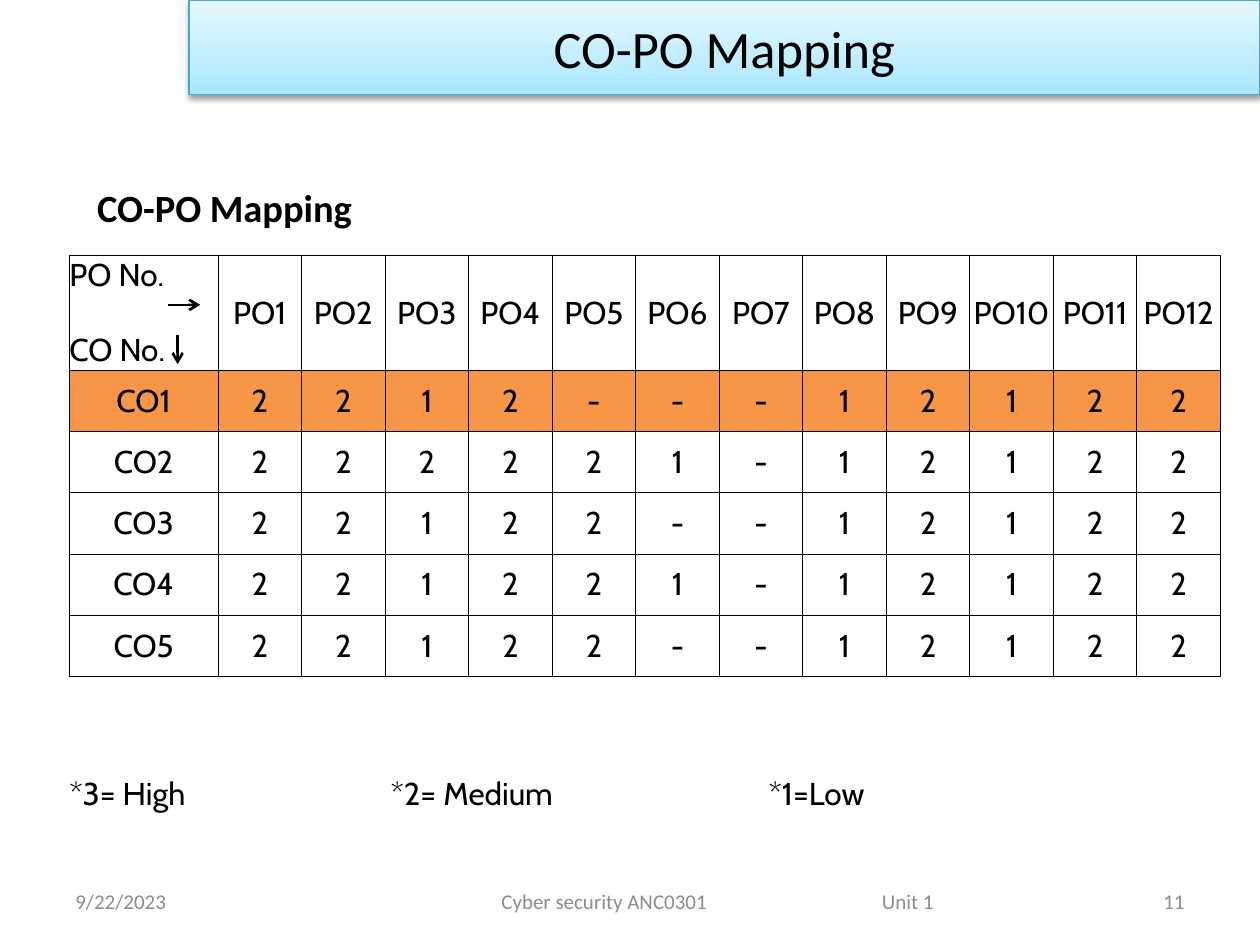
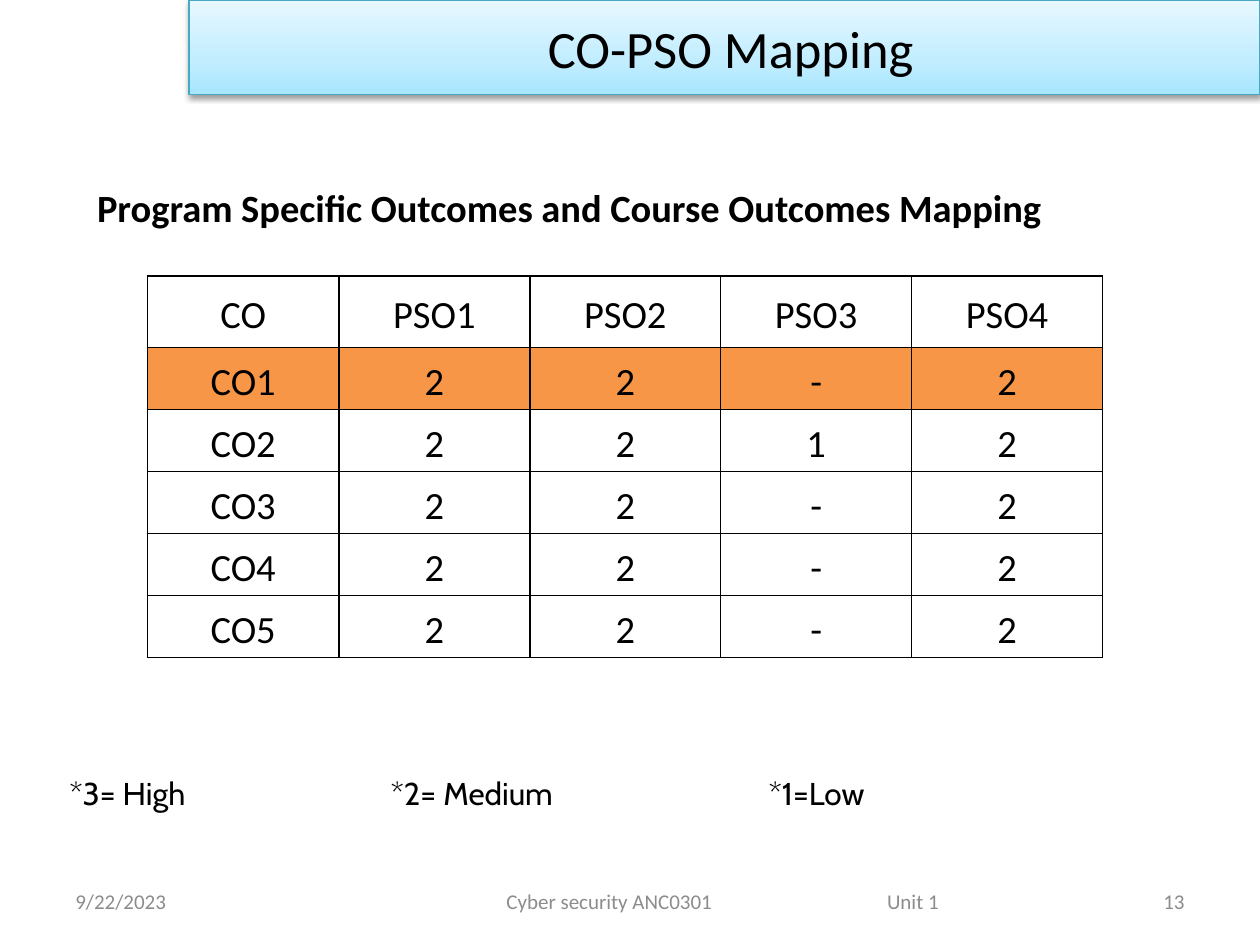
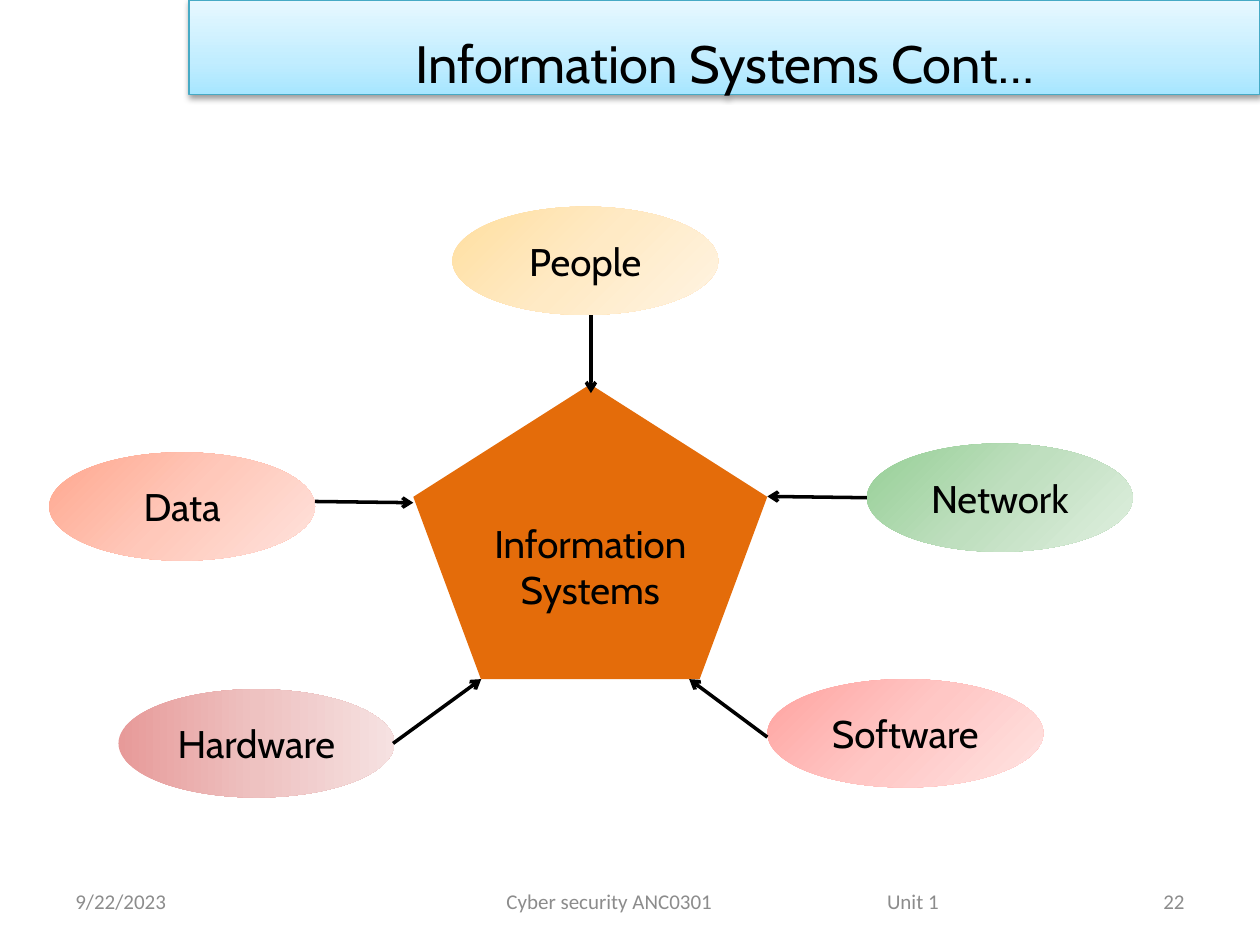
from pptx import Presentation
from pptx.dml.color import RGBColor
from pptx.enum.shapes import MSO_CONNECTOR, MSO_SHAPE
from pptx.enum.text import MSO_ANCHOR, MSO_AUTO_SIZE, PP_ALIGN
from pptx.oxml import parse_xml
from pptx.oxml.ns import nsdecls
from pptx.util import Inches, Pt

HUES = {
    "ink": "000000", "gray": "8C8C8C", "edge": "46AAC5",
    "mark": "F79646", "hub": "E46C0A",
}
FADES = {
    "band": ("A7E6FF", "C1EDFF", "E7F8FF"),
    "People": ("FFDFA0", "FFEAC5", "FFF4E3"),
    "Data": ("FFA78E", "FFC8BA", "FFE3DD"),
    "Network": ("95CF95", "BFDFBF", "E0EFE0"),
    "Hardware": ("E79A99", "EEC2C1", "F6E1E1"),
    "Software": ("FFA3A0", "FFC7C5", "FFE4E3"),
}
PO_ROWS = ["2212---12122", "222221-12122", "22122--12122",
           "221221-12122", "22122--12122"]
PSO_ROWS = ["22-2", "2212", "22-2", "22-2", "22-2"]


def hue(name):
    return RGBColor.from_string(HUES[name])


def node(tag, body):
    return parse_xml(f"<a:{tag} {nsdecls('a')} {body}")


def box(left, top, width, height):
    return [Inches(n) for n in (left, top, width, height)]


class Deck:
    def __init__(self):
        self.prs = Presentation()
        self.prs.slide_width = Inches(10)
        self.prs.slide_height = Inches(7.5)
        self.slide = None

    def label(self, frame, text, size, font="Calibri", color="ink",
              align=PP_ALIGN.CENTER, bold=False, space=None, tabs=()):
        frame.text = text
        for para in frame.paragraphs:
            if tabs:
                stops = "".join(f'<a:tab pos="{Inches(t)}" algn="l"/>' for t in tabs)
                para._p.get_or_add_pPr().append(node("tabLst", f">{stops}</a:tabLst>"))
            para.alignment = align
            if space:
                para.line_spacing = space
            for run in para.runs:
                run.font.name = font
                run.font.size = Pt(size)
                run.font.bold = bold
                run.font.color.rgb = hue(color)

    def pad(self, item, left=0.1, top=0.05, right=0.1, bottom=0.05):
        item.margin_left, item.margin_top = Inches(left), Inches(top)
        item.margin_right, item.margin_bottom = Inches(right), Inches(bottom)
        item.vertical_anchor = MSO_ANCHOR.MIDDLE

    def text(self, place, text, size, pads=(), align=PP_ALIGN.LEFT, **style):
        frame = self.slide.shapes.add_textbox(*box(*place)).text_frame
        frame.word_wrap = True
        self.pad(frame, *pads)
        self.label(frame, text, size, align=align, **style)

    def fade(self, shape, name, angle, mid=50):
        stops = "".join(
            f'<a:gs pos="{pos * 1000}"><a:srgbClr val="{color}"/></a:gs>'
            for pos, color in zip((0, mid, 100), FADES[name]))
        shape.fill.background()
        props = shape._element.spPr
        old = props.find(node("noFill", "/>").tag)
        props.replace(old, node("gradFill", f'rotWithShape="1"><a:gsLst>{stops}</a:gsLst>'
                                f'<a:lin ang="{angle * 60000}" scaled="0"/></a:gradFill>'))

    def start(self, title, page, font="Calibri", space=None, shift=0, lead=1.27):
        self.slide = self.prs.slides.add_slide(self.prs.slide_layouts[5])
        band = self.slide.shapes.title
        band.left, band.top, band.width, band.height = box(1.5, 0, 8.5, 0.75)
        self.fade(band, "band", 270, 35)
        band.line.color.rgb = hue("edge")
        band.line.width = Pt(0.75)
        band._element.spPr.append(node(
            "effectLst", '><a:outerShdw blurRad="40000" dist="20000" dir="5400000" '
            'rotWithShape="0"><a:srgbClr val="000000"><a:alpha val="38000"/>'
            '</a:srgbClr></a:outerShdw></a:effectLst>'))
        frame = band.text_frame
        frame.auto_size = MSO_AUTO_SIZE.NONE
        self.pad(frame, 0.1 + shift)
        self.label(frame, title, 30, font, space=space)
        self.text((0.5, 6.95, 2.33, 0.4), "9/22/2023", 12, color="gray")
        self.text((2.75, 6.95, 5.5, 0.4), "Cyber security ANC0301\tUnit 1", 12,
                  (lead,), color="gray", tabs=[3.02])
        self.text((7.17, 6.95, 2.33, 0.4), page, 12, align=PP_ALIGN.RIGHT, color="gray")

    def head(self, text):
        self.text((0.47, 1.41, 8.52, 0.42), text, 22, (0.3, 0.05, 0.1, 0), bold=True)

    def key(self):
        self.text((0, 6.09, 9.77, 0.4), "*3= High\t*2= Medium\t*1=Low", 18, (0.55,),
                  font="Cabin", tabs=[2.55, 5.55])

    def grid(self, place, heads, marks, first, top, edge, side, size, **style):
        rows = [heads] + [[f"CO{n}", *row] for n, row in enumerate(marks, 1)]
        width, height = place[2:]
        table = self.slide.shapes.add_table(len(rows), len(heads), *box(*place)).table
        table.first_row = table.horz_banding = False
        for n, col in enumerate(table.columns):
            col.width = Inches((width - first) / (len(heads) - 1) if n else first)
        for n, row in enumerate(table.rows):
            row.height = Inches((height - top) / len(marks) if n else top)
        for r, row in enumerate(rows):
            for c, text in enumerate(row):
                cell = table.cell(r, c)
                self.pad(cell, side, 0, side, 0)
                self.label(cell.text_frame, text, size, **style)
                self.rule(cell, edge)
                if r == 1:
                    cell.fill.solid()
                    cell.fill.fore_color.rgb = hue("mark")
                else:
                    cell.fill.background()
        return table

    def rule(self, cell, edge):
        props = cell._tc.get_or_add_tcPr()
        for n, side in enumerate("LRTB"):
            props.insert(n, node(
                f"ln{side}", f'w="{Pt(edge)}"><a:solidFill><a:srgbClr val="{HUES["ink"]}"/>'
                f'</a:solidFill></a:ln{side}>'))

    def shape(self, kind, place, text):
        shape = self.slide.shapes.add_shape(kind, *box(*place))
        shape.shadow.inherit = False
        shape.line.fill.background()
        shape.text_frame.word_wrap = True
        self.pad(shape.text_frame)
        self.label(shape.text_frame, text, 22, "Cabin")
        return shape

    def hub(self, place, text):
        shape = self.shape(MSO_SHAPE.REGULAR_PENTAGON, place, text)
        shape.fill.solid()
        shape.fill.fore_color.rgb = hue("hub")

    def oval(self, text, left, top, width, angle=45):
        shape = self.shape(MSO_SHAPE.OVAL, (left, top, width, 0.86), text)
        self.fade(shape, text, angle)

    def arrow(self, ends, width):
        link = self.slide.shapes.add_connector(MSO_CONNECTOR.STRAIGHT, *box(*ends))
        link.line.color.rgb = hue("ink")
        link.line.width = Pt(width)
        props = link._element.spPr
        props.get_or_add_ln().append(node("tailEnd", 'type="arrow"/>'))
        props.append(node("effectLst", "/>"))


def po_map(deck):
    deck.start("CO-PO Mapping", "11", lead=1.23)
    deck.head("CO-PO Mapping")
    heads = ["PO No.\nCO No."] + [f"PO{n}" for n in range(1, 13)]
    table = deck.grid((0.55, 2.03, 9.14, 3.34), heads, PO_ROWS, 1.18, 0.91, 0.5, 0, 18,
                      font="Cabin")
    lines = table.cell(0, 0).text_frame.paragraphs
    for line in lines:
        line.alignment = PP_ALIGN.LEFT
    lines[1].space_before = Pt(21)
    for ends in ((1.33, 2.42, 1.59, 2.42), (1.41, 2.66, 1.41, 2.89)):
        deck.arrow(ends, 1.5)
    deck.key()


def pso_map(deck):
    deck.start("CO-PSO Mapping", "13", shift=0.1)
    deck.head("Program Specific Outcomes and Course Outcomes Mapping")
    heads = ["CO"] + [f"PSO{n}" for n in range(1, 5)]
    deck.grid((1.17, 2.19, 7.58, 3.03), heads, PSO_ROWS, 1.52, 0.57, 1, 0.07, 22,
              space=1.15)
    deck.key()


def systems(deck):
    deck.start("Information Systems Cont…", "22", "Cabin", 1.5)
    deck.hub((3.28, 3.05, 2.81, 2.34), "Information Systems")
    deck.oval("People", 3.59, 1.64, 2.11)
    deck.oval("Data", 0.39, 3.59, 2.11)
    deck.oval("Network", 6.88, 3.52, 2.11)
    deck.oval("Hardware", 0.94, 5.47, 2.19, 0)
    deck.oval("Software", 6.09, 5.39, 2.19)
    for ends in ((4.69, 2.5, 4.69, 3.12), (2.5, 3.98, 3.28, 3.99),
                 (3.12, 5.9, 3.82, 5.39), (6.09, 5.85, 5.47, 5.39),
                 (6.88, 3.95, 6.09, 3.94)):
        deck.arrow(ends, 2)


def main():
    deck = Deck()
    po_map(deck)
    pso_map(deck)
    systems(deck)
    deck.prs.save("out.pptx")


if __name__ == "__main__":
    main()
